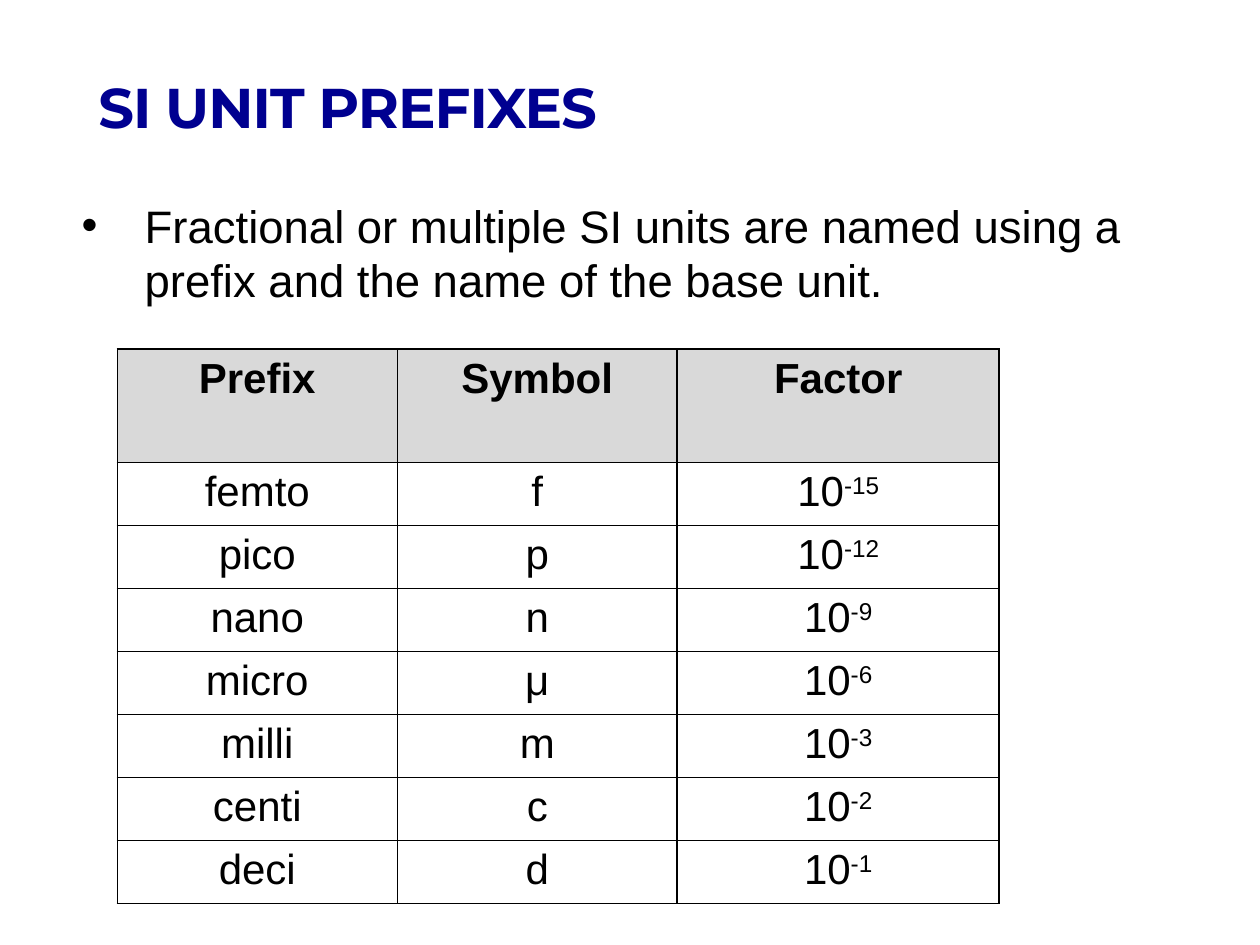
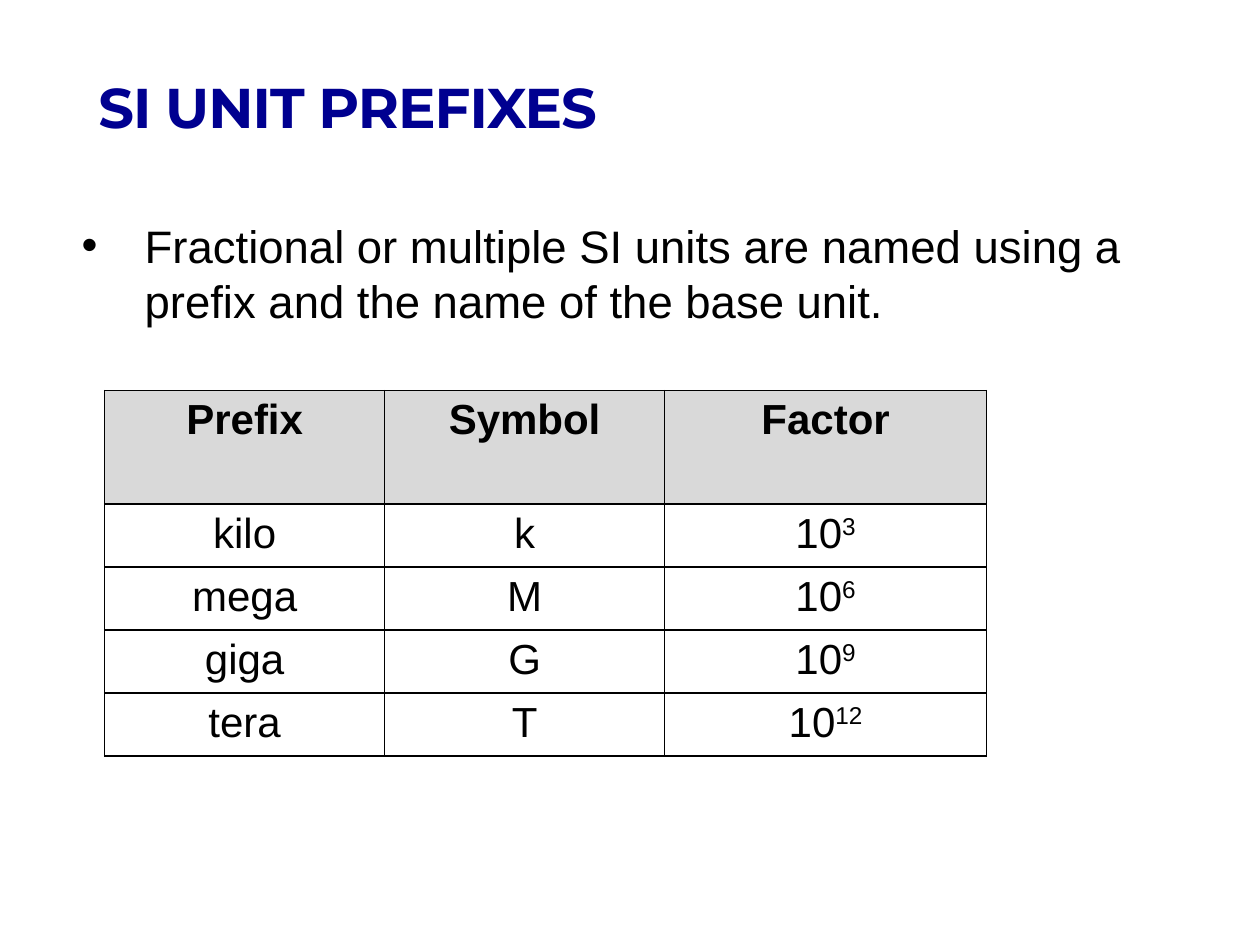
from lxml import etree
from pptx import Presentation
from pptx.dml.color import RGBColor
from pptx.enum.text import MSO_ANCHOR, MSO_AUTO_SIZE, PP_ALIGN
from pptx.oxml.ns import qn
from pptx.util import Pt

LEFT = PP_ALIGN.LEFT
CENTER = PP_ALIGN.CENTER
BOTTOM = MSO_ANCHOR.BOTTOM
NO_FIT = MSO_AUTO_SIZE.NONE
GROW = MSO_AUTO_SIZE.SHAPE_TO_FIT_TEXT

NAVY = RGBColor(0x00, 0x00, 0x90)
BLACK = RGBColor(0x00, 0x00, 0x00)
HEADER_GREY = RGBColor(0xD9, 0xD9, 0xD9)

TITLE = "SI UNIT PREFIXES"
STATEMENT = "Fractional or multiple SI units are named using a prefix and the name of the base unit."
HEADERS = ("Prefix", "Symbol", "Factor")
COLUMN_WIDTHS = (160, 160, 184)
HEADER_HEIGHT = 64.8
ROW_HEIGHT = 36

FRACTIONS = [
    ("femto", "f", "-15"),
    ("pico", "p", "-12"),
    ("nano", "n", "-9"),
    ("micro", "μ", "-6"),
    ("milli", "m", "-3"),
    ("centi", "c", "-2"),
    ("deci", "d", "-1"),
]
MULTIPLES = [
    ("kilo", "k", "3"),
    ("mega", "M", "6"),
    ("giga", "G", "9"),
    ("tera", "T", "12"),
]
SLIDES = [
    (109.4, 67, 199.4, FRACTIONS),
    (121, 59.8, 223.2, MULTIPLES),
]


def write(paragraph, text, size=24, font="Arial", color=BLACK, bold=False, align=CENTER, **attributes):
    paragraph.alignment = align
    run = paragraph.add_run()
    run.text = text
    run.font.size = Pt(size)
    run.font.name = font
    run.font.color.rgb = color
    run.font.bold = bold
    for name, value in attributes.items():
        run.font._element.set(name, str(value))


def add_borders(cell):
    properties = cell._tc.get_or_add_tcPr()
    for side in ("a:lnL", "a:lnR", "a:lnT", "a:lnB"):
        line = etree.SubElement(properties, qn(side), w=str(Pt(1)))
        fill = etree.SubElement(line, qn("a:solidFill"))
        etree.SubElement(fill, qn("a:srgbClr"), val=str(BLACK))


presentation = Presentation()
presentation.slide_width = Pt(720)
presentation.slide_height = Pt(540)
title_only = presentation.slide_layouts[5]

for statement_top, table_left, table_top, prefixes in SLIDES:
    slide = presentation.slides.add_slide(title_only)

    title = slide.shapes.title
    title.left, title.top, title.width, title.height = Pt(49), Pt(5.8), Pt(648), Pt(77.8)
    title.text_frame.word_wrap = True
    title.text_frame.auto_size = NO_FIT
    title.text_frame.vertical_anchor = BOTTOM
    write(title.text_frame.paragraphs[0], TITLE, size=32, font="Montserrat",
          color=NAVY, bold=True, align=LEFT, spc=-60)

    statement = slide.shapes.add_textbox(Pt(39.6), Pt(statement_top), Pt(648), Pt(101.5))
    statement.text_frame.word_wrap = True
    statement.text_frame.auto_size = GROW
    paragraph = statement.text_frame.paragraphs[0]
    paragraph_properties = paragraph._p.get_or_add_pPr()
    paragraph_properties.set("marL", str(Pt(36)))
    paragraph_properties.set("indent", str(Pt(-36)))
    etree.SubElement(paragraph_properties, qn("a:buFont"), typeface="Arial")
    etree.SubElement(paragraph_properties, qn("a:buChar"), char="•")
    write(paragraph, STATEMENT, size=26, align=LEFT)

    row_count = len(prefixes) + 1
    table_height = HEADER_HEIGHT + ROW_HEIGHT * len(prefixes)
    table = slide.shapes.add_table(row_count, len(HEADERS), Pt(table_left), Pt(table_top),
                                   Pt(sum(COLUMN_WIDTHS)), Pt(table_height)).table
    table.horz_banding = False
    for column, width in zip(table.columns, COLUMN_WIDTHS):
        column.width = Pt(width)

    for row_index, values in enumerate([HEADERS] + prefixes):
        is_header = row_index == 0
        table.rows[row_index].height = Pt(HEADER_HEIGHT if is_header else ROW_HEIGHT)
        for column_index, value in enumerate(values):
            cell = table.cell(row_index, column_index)
            add_borders(cell)
            paragraph = cell.text_frame.paragraphs[0]
            if is_header:
                cell.fill.solid()
                cell.fill.fore_color.rgb = HEADER_GREY
                write(paragraph, value, bold=True)
                continue
            cell.fill.background()
            if HEADERS[column_index] == "Factor":
                write(paragraph, "10")
                write(paragraph, value, baseline=30000)
            else:
                write(paragraph, value)

presentation.save("out.pptx")
